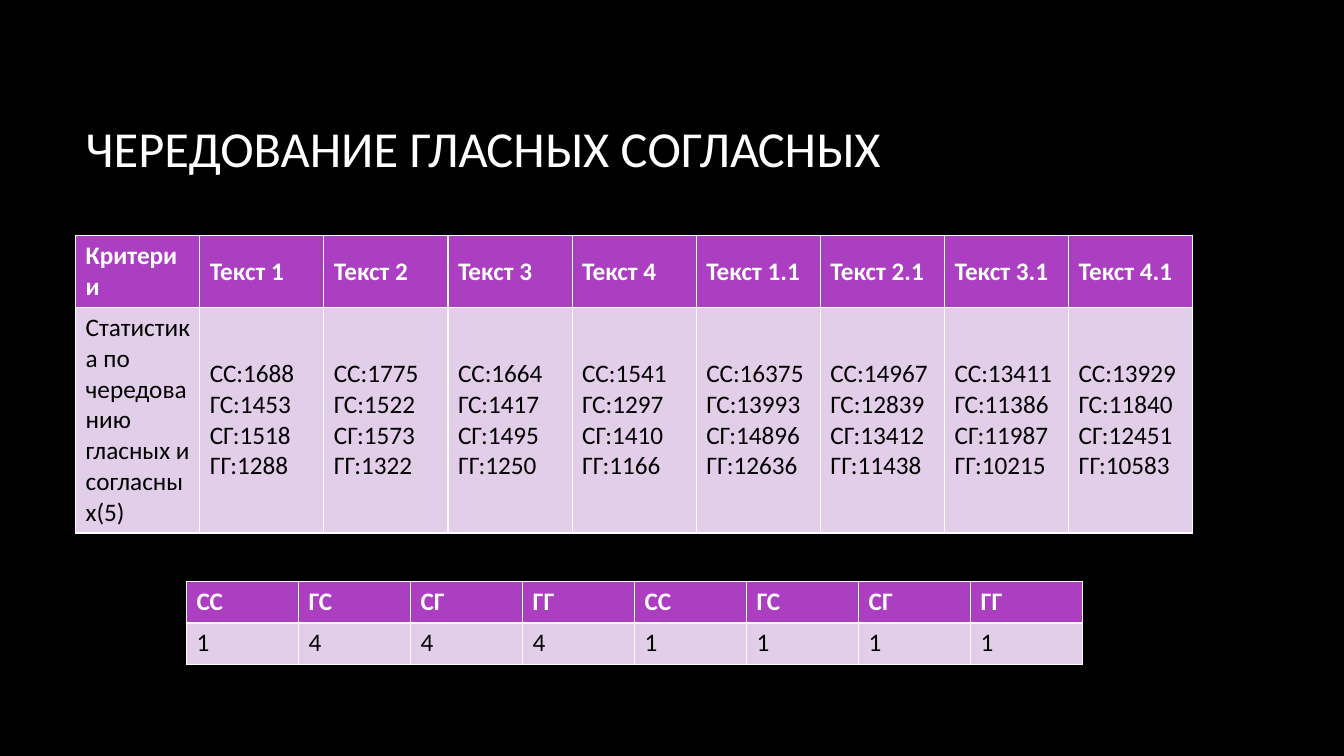
from dataclasses import dataclass

from pptx import Presentation
from pptx.dml.color import RGBColor
from pptx.enum.text import MSO_ANCHOR as Anchor, PP_ALIGN as Align
from pptx.slide import Slide
from pptx.table import _Cell as Cell
from pptx.text.text import _Paragraph as Paragraph
from pptx.util import Inches, Pt

BLACK = RGBColor(0x00, 0x00, 0x00)
WHITE = RGBColor(0xFF, 0xFF, 0xFF)
PURPLE = RGBColor(0xAC, 0x3E, 0xC1)
LILAC = RGBColor(0xE3, 0xCE, 0xE9)

TITLE_FORMAT = {"name": "Calibri", "size": Pt(36), "bold": False}
HEADER_FORMAT = {"name": "Calibri", "size": Pt(18), "bold": True}
BODY_FORMAT = {"name": "Calibri", "size": Pt(18), "bold": False}

ROW_HEIGHT = 0.41
PAIRS = ["СС", "ГС", "СГ", "ГГ"]
PAIR_COUNTS = {
    "Текст 1": (1688, 1453, 1518, 1288),
    "Текст 2": (1775, 1522, 1573, 1322),
    "Текст 3": (1664, 1417, 1495, 1250),
    "Текст 4": (1541, 1297, 1410, 1166),
    "Текст 1.1": (16375, 13993, 14896, 12636),
    "Текст 2.1": (14967, 12839, 13412, 11438),
    "Текст 3.1": (13411, 11386, 11987, 10215),
    "Текст 4.1": (13929, 11840, 12451, 10583),
}


@dataclass
class Grid:
    left: float
    top: float
    width: float
    height: float
    anchor: Anchor
    rows: list[list[str]]


def pair_summary(counts: tuple[int, ...]) -> str:
    return " ".join(f"{pair}:{count}" for pair, count in zip(PAIRS, counts))


GRIDS = [
    Grid(0.75, 2.34, 11.08, 2.9, Anchor.MIDDLE, [
        ["Критерии", *PAIR_COUNTS],
        ["Статистика по чередованию гласных и согласных(5)",
         *map(pair_summary, PAIR_COUNTS.values())],
    ]),
    Grid(1.85, 5.77, 8.89, 0.82, Anchor.TOP, [
        PAIRS * 2,
        list("14441111"),
    ]),
]


def write(para: Paragraph, text: str, font_format: dict, color: RGBColor) -> None:
    span = para.add_run()
    span.text = text
    for name, value in font_format.items():
        setattr(span.font, name, value)
    span.font.color.rgb = color


def fill_cell(cell: Cell, text: str, is_header: bool, anchor: Anchor) -> None:
    cell.vertical_anchor = anchor
    cell.fill.solid()
    cell.fill.fore_color.rgb = PURPLE if is_header else LILAC
    write(cell.text_frame.paragraphs[0], text,
          HEADER_FORMAT if is_header else BODY_FORMAT,
          WHITE if is_header else BLACK)


def draw_grid(page: Slide, grid: Grid) -> None:
    frame = page.shapes.add_table(
        len(grid.rows), len(grid.rows[0]),
        Inches(grid.left), Inches(grid.top), Inches(grid.width), Inches(grid.height))
    table = frame.table
    for row_index, texts in enumerate(grid.rows):
        table.rows[row_index].height = Inches(ROW_HEIGHT)
        for column_index, text in enumerate(texts):
            fill_cell(table.cell(row_index, column_index), text,
                      row_index == 0, grid.anchor)
    frame.height = Inches(grid.height)


def draw_title(page: Slide, text: str) -> None:
    box = page.shapes.title
    place = {"left": 0.75, "top": 0.67, "width": 11.08, "height": 1.59}
    for name, value in place.items():
        setattr(box, name, Inches(value))
    box.text_frame.vertical_anchor = Anchor.MIDDLE
    para = box.text_frame.paragraphs[0]
    para.alignment = Align.LEFT
    write(para, text, TITLE_FORMAT, WHITE)


def main() -> None:
    deck = Presentation()
    deck.slide_width = Inches(13.33)
    deck.slide_height = Inches(7.5)
    page = deck.slides.add_slide(deck.slide_layouts.get_by_name("Title Only"))
    page.background.fill.solid()
    page.background.fill.fore_color.rgb = BLACK
    draw_title(page, "ЧЕРЕДОВАНИЕ ГЛАСНЫХ СОГЛАСНЫХ")
    for grid in GRIDS:
        draw_grid(page, grid)
    deck.save("out.pptx")


if __name__ == "__main__":
    main()
